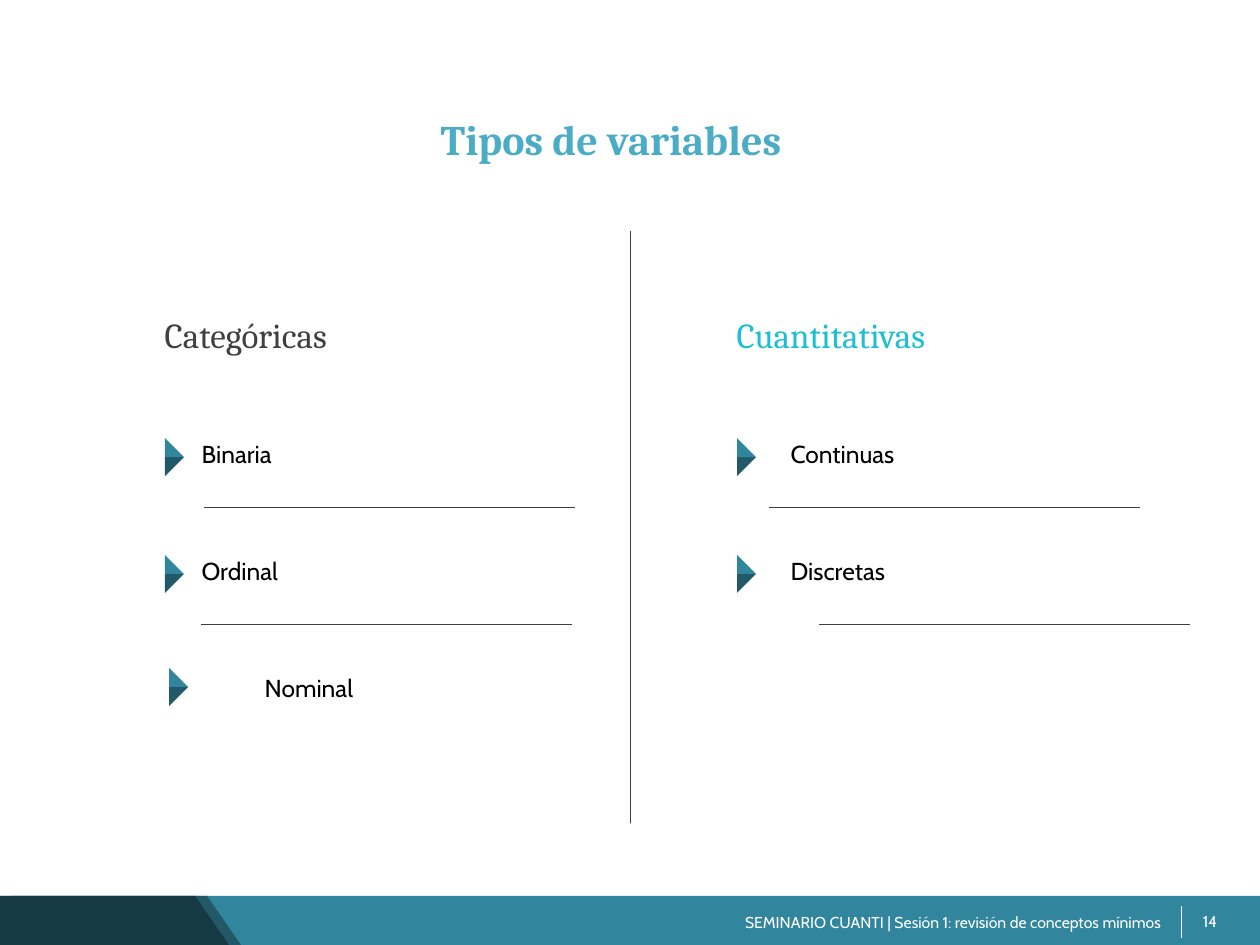
from pptx import Presentation
from pptx.dml.color import RGBColor
from pptx.enum.dml import MSO_LINE
from pptx.enum.shapes import MSO_CONNECTOR, MSO_SHAPE
from pptx.enum.text import MSO_ANCHOR, MSO_AUTO_SIZE, PP_ALIGN
from pptx.oxml.ns import qn
from pptx.util import Emu, Pt
from lxml.etree import SubElement

PX = 914400 / 126
WHITE = RGBColor(0xFF, 0xFF, 0xFF)
BLACK = RGBColor(0, 0, 0)
GREY = RGBColor(0x40, 0x40, 0x40)
BLUE = RGBColor(0x4B, 0xAC, 0xC6)
CYAN = RGBColor(0x1B, 0xC0, 0xD1)
TEAL = RGBColor(0x31, 0x85, 0x9C)
DARK_TEAL = RGBColor(0x21, 0x59, 0x68)
NIGHT = RGBColor(0x15, 0x3A, 0x44)
ROW_PITCH = 117


def px(n):
    """Convert pixels to EMU."""
    return Emu(round(n * PX))


def place(sp, x, y, w, h):
    """Move and size a shape."""
    sp.left, sp.top, sp.width, sp.height = px(x), px(y), px(w), px(h)


def paint(sp, color):
    """Give a shape a flat fill without line or shadow."""
    sp.fill.solid()
    sp.fill.fore_color.rgb = color
    sp.line.fill.background()
    sp.shadow.inherit = False


def polygon(s, points, color):
    """Draw a closed filled outline."""
    builder = s.shapes.build_freeform(*points[0], scale=PX)
    builder.add_line_segments(points[1:], close=True)
    paint(builder.convert_to_shape(), color)


def line(s, x1, y1, x2, y2, color=GREY, dash=MSO_LINE.ROUND_DOT):
    """Draw a hairline."""
    c = s.shapes.add_connector(MSO_CONNECTOR.STRAIGHT, px(x1), px(y1), px(x2), px(y2))
    c.line.color.rgb = color
    c.line.width = Pt(0.25)
    if dash:
        c.line.dash_style = dash
    SubElement(c._element.spPr, qn("a:effectLst"))


def write(sp, *texts, font="Cabin", size=14, color=BLACK, bold=False,
          align=PP_ALIGN.LEFT, spacing=1.0, gap=0, indents=(), wrap=True):
    """Fill a shape with one formatted paragraph per text."""
    tf = sp.text_frame
    tf.word_wrap = wrap
    tf.auto_size = MSO_AUTO_SIZE.NONE
    tf.vertical_anchor = MSO_ANCHOR.TOP
    for i, text in enumerate(texts):
        p = tf.paragraphs[0] if i == 0 else tf.add_paragraph()
        p.alignment, p.line_spacing = align, spacing
        p.space_before, p.space_after = Pt(0), Pt(gap)
        pPr = p._p.get_or_add_pPr()
        pPr.set("marL", str(px(indents[i] if indents else 0)))
        pPr.set("indent", "0")
        SubElement(pPr, qn("a:buNone"))
        r = p.add_run()
        r.text = text
        r.font.name, r.font.size, r.font.bold = font, Pt(size), bold
        r.font.color.rgb = color


def marker(s, x, y):
    """Draw a two-tone arrowhead whose left edge is centred on x, y."""
    for dy, color in ((19, DARK_TEAL), (-19, TEAL)):
        polygon(s, [(x, y), (x, y + dy), (x + 19, y)], color)


def column(s, x, y, heading, body, title, color, items, text_dx, rule_dx,
           indents=(), nudges=()):
    """Place a heading and its marked, ruled list at x, y."""
    place(heading, x - 13, y, 420, 40)
    write(heading, title, font="Cambria", size=20, color=color, spacing=0.9)
    place(body, x + text_dx - 13, y + 121, 380, 280)
    write(body, *items, gap=50, indents=indents)
    for i in range(len(items)):
        dx, dy = nudges[i] if nudges else (0, 0)
        marker(s, x + dx, y + 145 + i * ROW_PITCH + dy)
    for i, dx in enumerate(rule_dx):
        rule_y = y + 195 + i * ROW_PITCH
        line(s, x + dx, rule_y, x + dx + 370, rule_y)


def footer(s, y, text, number):
    """Place the footer band with its text and page number at y."""
    band = s.shapes.add_shape(MSO_SHAPE.RECTANGLE, 0, px(y), px(1262), px(52))
    paint(band, TEAL)
    for x, color in ((12, DARK_TEAL), (0, NIGHT)):
        polygon(s, [(x, y), (x + 195, y), (x + 231, y + 52), (x, y + 52)], color)
    line(s, 1181, y + 10, 1181, y + 42, color=WHITE, dash=None)
    num = s.shapes.add_textbox(px(1184), px(y + 10), px(52), px(32))
    write(num, number, size=9, color=WHITE, align=PP_ALIGN.CENTER, wrap=False)
    note = s.shapes.add_textbox(px(266), px(y + 9), px(907), px(54))
    write(note, text, size=9, color=WHITE, align=PP_ALIGN.RIGHT, spacing=1.1)


def main():
    """Build the slide."""
    prs = Presentation()
    prs.slide_width, prs.slide_height = px(1260), px(945)
    s = prs.slides.add_slide(prs.slide_layouts[4])
    title, left_head, left_body, right_head, right_body = s.placeholders
    footer(s, 896, "SEMINARIO CUANTI | Sesión 1: revisión de conceptos mínimos", "14")
    place(title, 163, 113, 896, 40)
    write(title, "Tipos de variables", font="Cambria", size=24, color=BLUE,
          bold=True, align=PP_ALIGN.CENTER, spacing=0.9)
    line(s, 630, 231, 630, 823)
    column(s, 165, 312, left_head, left_body, "Categóricas", GREY,
           ["Binaria", "Ordinal", "Nominal"], 37, (39, 36),
           indents=(0, 0, 63), nudges=((0, 0), (0, 0), (4, -4)))
    column(s, 737, 312, right_head, right_body, "Cuantitativas", CYAN,
           ["Continuas", "Discretas"], 54, (32, 82))
    prs.save("out.pptx")


if __name__ == "__main__":
    main()
